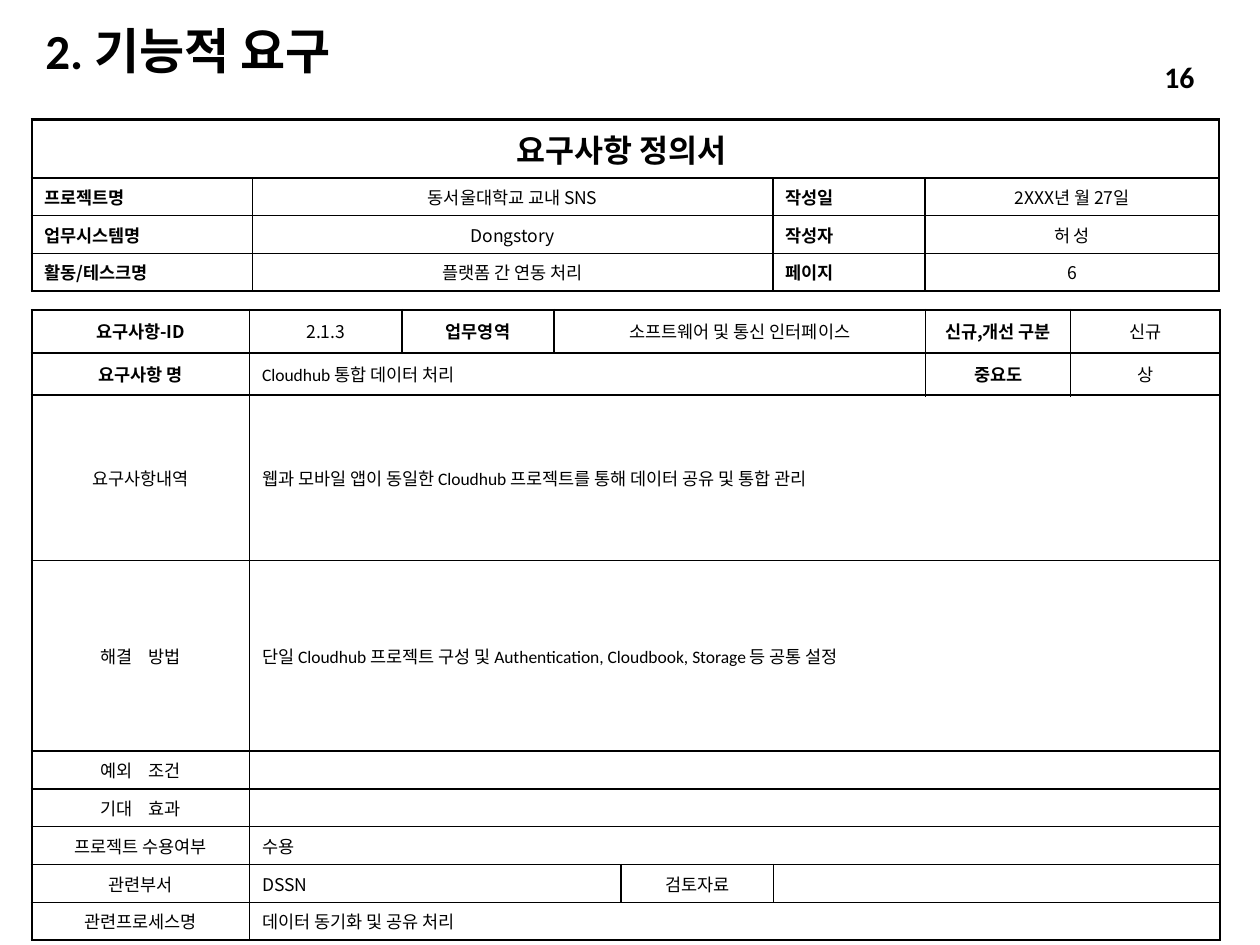
from lxml.etree import SubElement
from pptx import Presentation
from pptx.dml.color import RGBColor
from pptx.enum.text import MSO_ANCHOR, MSO_AUTO_SIZE, PP_ALIGN
from pptx.oxml.ns import qn
from pptx.util import Cm, Pt

BLACK = RGBColor(0x00, 0x00, 0x00)
LATIN = "Calibri"
KOREAN = "Noto Sans CJK KR"
THIN, THICK = 1, 1.5
LEFT, CENTER, JUSTIFY = PP_ALIGN.LEFT, PP_ALIGN.CENTER, PP_ALIGN.JUSTIFY


def add_run(paragraph, text, size, bold=False, font=KOREAN, spacing=None):
    run = paragraph.add_run()
    run.text = text
    run.font.size = Pt(size)
    run.font.bold = bold
    run.font.color.rgb = BLACK
    run.font.name = font
    properties = run._r.get_or_add_rPr()
    SubElement(properties, qn("a:ea"), typeface=KOREAN)
    if spacing:
        properties.set("spc", str(round(spacing * 100)))


def draw_borders(cell, widths):
    """Set borders from a dict of side (L, R, T, B) to width in points."""
    properties = cell._tc.get_or_add_tcPr()
    for position, side in enumerate(s for s in "LRTB" if s in widths):
        line = properties.makeelement(
            qn(f"a:ln{side}"), {"w": str(Pt(widths[side]))})
        fill = SubElement(line, qn("a:solidFill"))
        SubElement(fill, qn("a:srgbClr"), val=str(BLACK))
        properties.insert(position, line)


def fill_cell(cell, text, align, size=10, bold=False, font=KOREAN,
              anchor=MSO_ANCHOR.MIDDLE):
    """Write the text; a tuple holds two words set wide apart."""
    cell.vertical_anchor = anchor
    paragraph = cell.text_frame.paragraphs[0]
    paragraph.alignment = align
    if isinstance(text, tuple):
        first, last = text
        add_run(paragraph, first, size, bold, font)
        add_run(paragraph, " ", size, bold, font, spacing=7)
        add_run(paragraph, last, size, bold, font)
    elif text:
        add_run(paragraph, text, size, bold, font)
    else:
        SubElement(paragraph._p, qn("a:endParaRPr"), sz=str(size * 100))


def add_form(slide, top, widths, heights, rows, thick_rules=()):
    """Add a table; rows hold (span, text, align, options) entries.

    The frame and the horizontal rules numbered in thick_rules are thick.
    """
    table = slide.shapes.add_table(
        len(heights), len(widths), Cm(0.64), Cm(top),
        Cm(sum(widths)), Cm(sum(heights))).table
    table.first_row = table.horz_banding = False
    for column, width in zip(table.columns, widths):
        column.width = Cm(width)
    for row, height in zip(table.rows, heights):
        row.height = Cm(height)

    thick_rules = {0, len(heights), *thick_rules}
    for r, entries in enumerate(rows):
        start = 0
        for span, text, align, options in entries:
            end = start + span
            sides = {
                "L": THICK if start == 0 else THIN,
                "R": THICK if end == len(widths) else THIN,
                "T": THICK if r in thick_rules else THIN,
                "B": THICK if r + 1 in thick_rules else THIN,
            }
            cell = table.cell(r, start)
            if span > 1:
                cell.merge(table.cell(r, end - 1))
            fill_cell(cell, text, align, **options)
            for c in range(start, end):
                part = table.cell(r, c)
                part.fill.background()
                hidden = "" if c == start else "L" if c == end - 1 else "LR"
                draw_borders(part, {side: width for side, width in sides.items()
                                    if side not in hidden})
            start = end


def add_document_header(slide):
    facts = [
        ("프로젝트명", "동서울대학교 교내 SNS", "작성일", "2XXX년 월 27일"),
        ("업무시스템명", "Dongstory", "작성자", "허 성"),
        ("활동/테스크명", "플랫폼 간 연동 처리", "페이지", "6"),
    ]
    label = {"bold": True, "anchor": MSO_ANCHOR.TOP}
    value = {"anchor": MSO_ANCHOR.TOP}
    rows = [[(4, "요구사항 정의서 ", CENTER, {"size": 18, "bold": True})]]
    for fact in facts:
        rows.append([(1, text, (JUSTIFY, CENTER)[i % 2], (label, value)[i % 2])
                     for i, text in enumerate(fact)])
    add_form(slide, 2.41, [4.45, 10.49, 3.07, 5.92], [1.17] + [0.69] * 3, rows)


def add_requirement(slide):
    bold, plain, latin = {"bold": True}, {}, {"font": LATIN}
    rows = [
        [(1, "요구사항-ID", CENTER, bold), (1, "2.1.3", CENTER, plain),
         (1, "업무영역", CENTER, bold),
         (3, "소프트웨어 및 통신 인터페이스", CENTER, plain),
         (1, "신규,개선 구분", CENTER, bold), (1, "신규", CENTER, plain)],
        [(1, "요구사항 명", CENTER, bold),
         (5, "Cloudhub 통합 데이터 처리", LEFT, latin),
         (1, "중요도", CENTER, bold), (1, "상", CENTER, plain)],
    ]
    details = [
        ("요구사항내역",
         "웹과 모바일 앱이 동일한 Cloudhub 프로젝트를 통해 데이터 공유 및 통합 관리", latin),
        (("해결", "방법"),
         "단일 Cloudhub 프로젝트 구성 및 Authentication, Cloudbook, Storage 등 공통 설정",
         latin),
        (("예외", "조건"), "", plain),
        (("기대", "효과"), "", plain),
        ("프로젝트 수용여부", "수용", plain),
        ("관련프로세스명", "데이터 동기화 및 공유 처리", latin),
    ]
    rows += [[(1, label, CENTER, plain), (7, text, LEFT, options)]
             for label, text, options in details]
    rows.insert(-1, [(1, "관련부서", CENTER, plain), (3, "DSSN", LEFT, plain),
                     (1, "검토자료", CENTER, plain), (3, "", LEFT, plain)])
    add_form(slide, 6.25,
             [4.39, 3.07, 3.07, 1.35, 3.07, 3.07, 2.92, 3.02],
             [0.86, 0.86, 3.33, 3.84] + [0.69] * 5, rows, thick_rules=(1, 2))


def set_title(slide, text):
    title = slide.shapes.title
    title.left, title.top = Cm(0.66), Cm(0.53)
    title.width, title.height = Cm(13.61), Cm(1.12)
    frame = title.text_frame
    frame.auto_size = MSO_AUTO_SIZE.NONE
    frame.vertical_anchor = MSO_ANCHOR.MIDDLE
    paragraph = frame.paragraphs[0]
    paragraph.alignment = LEFT
    paragraph.line_spacing = 0.9
    add_run(paragraph, text, 28, bold=True, font=LATIN)


def add_page_number(slide, number):
    frame = slide.shapes.add_textbox(
        Cm(20.22), Cm(1.04), Cm(4.11), Cm(1.02)).text_frame
    frame.word_wrap = True
    frame.vertical_anchor = MSO_ANCHOR.MIDDLE
    paragraph = frame.paragraphs[0]
    paragraph.alignment = PP_ALIGN.RIGHT
    add_run(paragraph, number, 17, bold=True, font=LATIN)


def main():
    presentation = Presentation()
    presentation.slide_width, presentation.slide_height = Cm(25.4), Cm(19.05)
    slide = presentation.slides.add_slide(presentation.slide_layouts[5])
    set_title(slide, "2. 기능적 요구")
    add_requirement(slide)
    add_document_header(slide)
    add_page_number(slide, "16")
    presentation.save("out.pptx")


if __name__ == "__main__":
    main()
